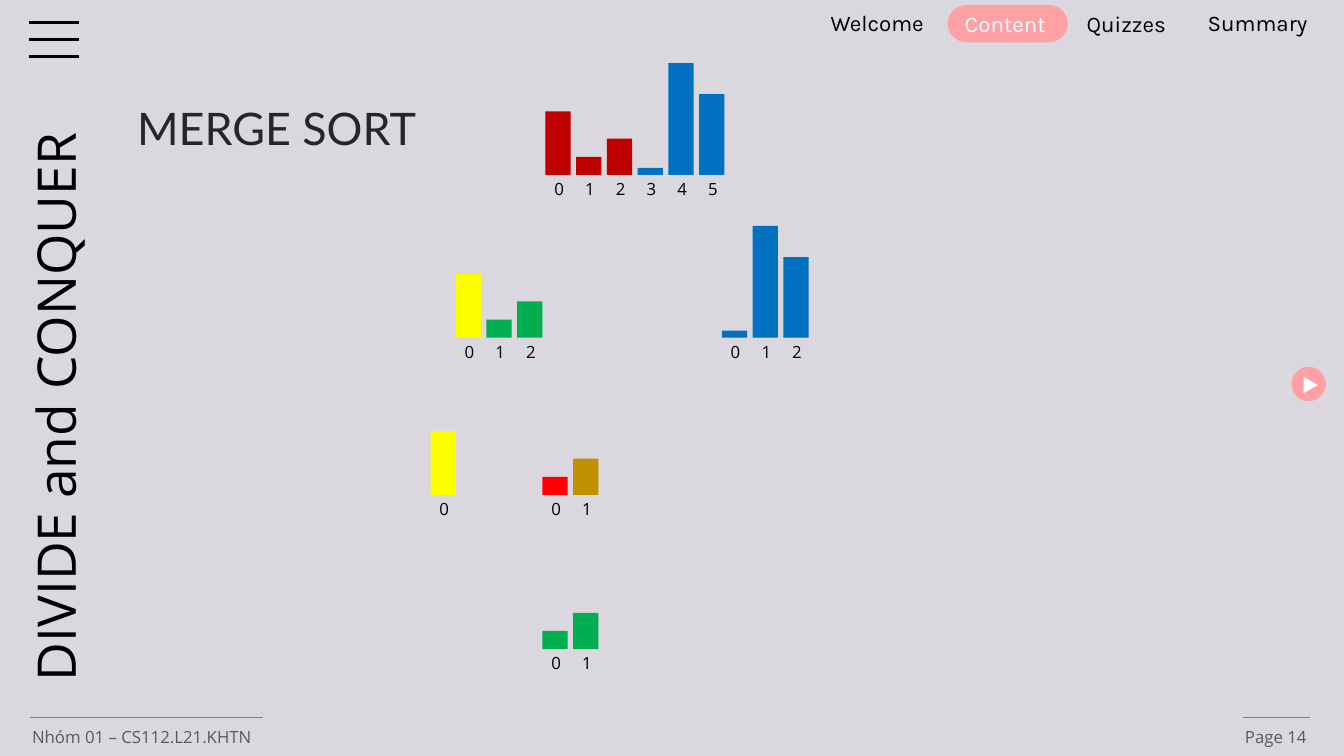
from pptx import Presentation
from pptx.dml.color import RGBColor
from pptx.enum.shapes import MSO_CONNECTOR, MSO_SHAPE
from pptx.enum.text import MSO_ANCHOR, PP_ALIGN
from pptx.util import Inches, Pt
from lxml import etree

RECT, ROUND = MSO_SHAPE.RECTANGLE, MSO_SHAPE.ROUNDED_RECTANGLE
OVAL, TRIANGLE = MSO_SHAPE.OVAL, MSO_SHAPE.ISOSCELES_TRIANGLE
LEFT, CENTER = PP_ALIGN.LEFT, PP_ALIGN.CENTER
TOP = MSO_ANCHOR.TOP
STRAIGHT = MSO_CONNECTOR.STRAIGHT
A = "http://schemas.openxmlformats.org/drawingml/2006/main"
PINK, WHITE, BLACK, GRAY = "FFA1A4", "FFFFFF", "000000", "595959"
RED, BLUE, YELLOW, GREEN = "C00000", "0070C0", "FFFF00", "00B050"

prs = Presentation()
prs.slide_width, prs.slide_height = Inches(13.33), Inches(7.5)
s = prs.slides.add_slide(prs.slide_layouts[5])
s.background.fill.solid()
s.background.fill.fore_color.rgb = RGBColor.from_string("DBD7DE")


def add_text(text, x, y, w, h, size=12, font="Open Sans", color=BLACK,
             align=LEFT, inset=0.1, sp=None):
    """Put formatted text in a new text box, or in sp if one is given."""
    sp = sp or s.shapes.add_textbox(0, 0, 0, 0)
    sp.left, sp.top, sp.width, sp.height = map(Inches, (x, y, w, h))
    tf = sp.text_frame
    tf.word_wrap = True
    tf.vertical_anchor = TOP
    tf.margin_left = tf.margin_right = Inches(inset)
    p = tf.paragraphs[0]
    p.alignment = align
    r = p.add_run()
    r.text = text
    r.font.size, r.font.name = Pt(size), font
    r.font.color.rgb = RGBColor.from_string(color)
    return sp


def add_filled(kind, x, y, w, h, color):
    sp = s.shapes.add_shape(kind, *map(Inches, (x, y, w, h)))
    sp.shadow.inherit = False
    sp.fill.solid()
    sp.fill.fore_color.rgb = RGBColor.from_string(color)
    sp.line.fill.background()
    return sp


add_text("MERGE SORT", 1.26, 0.95, 3.01, 0.64, size=32, font="Lato",
         color="262626", sp=s.shapes.title)

# Navigation
add_filled(ROUND, 9.4, 0.05, 1.19, 0.37, PINK).adjustments[0] = 0.5
for label, x, y, color in [("Welcome", 8.14, 0.04, BLACK),
                           ("Content", 9.47, 0.05, WHITE),
                           ("Quizzes", 10.68, 0.05, BLACK),
                           ("Summary", 11.88, 0.04, BLACK)]:
    add_text(label, x, y, 1.3, 0.37, size=16, font="Karla", color=color)

# Next button
add_filled(OVAL, 12.81, 3.64, 0.34, 0.34, PINK)
add_filled(TRIANGLE, 12.92, 3.75, 0.16, 0.14, WHITE).rotation = 90

# Menu icon and footer rules
rules = [(0.29, 0.78, 0.22 + 0.17 * i, BLACK, 2) for i in range(3)]
rules += [(0.3, 2.61, 7.12, "808080", 0.75), (12.33, 12.99, 7.12, "808080", 0.75)]
for x1, x2, y, color, weight in rules:
    line = s.shapes.add_connector(STRAIGHT, *map(Inches, (x1, y, x2, y)))
    line.line.color.rgb = RGBColor.from_string(color)
    line.line.width = Pt(weight)
    etree.SubElement(line._element.spPr, f"{{{A}}}effectLst")

add_text("Nhóm 01 – CS112.L21.KHTN", 0.22, 7.16, 3, 0.3, color=GRAY)
add_text("Page 14", 12.25, 7.16, 1, 0.3, color=GRAY)
add_text("DIVIDE and CONQUER", -2.53, 3.26, 6.3, 0.89, size=38).rotation = 270

# Arrays being split: left edge, baseline, (height, colour) of each bar
BAR_W, STEP = 0.25, 0.305
arrays = [
    (5.41, 1.735, [(0.63, RED), (0.18, RED), (0.36, RED),
                   (0.07, BLUE), (1.11, BLUE), (0.8, BLUE)]),
    (4.52, 3.35, [(0.63, YELLOW), (0.18, GREEN), (0.36, GREEN)]),
    (7.16, 3.35, [(0.07, BLUE), (1.11, BLUE), (0.8, BLUE)]),
    (4.27, 4.91, [(0.63, YELLOW)]),
    (5.38, 4.91, [(0.18, "FF0000"), (0.36, "BF9000")]),
    (5.38, 6.44, [(0.18, GREEN), (0.36, GREEN)]),
]
for left, base, bars in arrays:
    for i, (height, color) in enumerate(bars):
        x = left + i * STEP
        add_filled(RECT, x, base - height, BAR_W, height, color)
        add_text(str(i), x + 0.01, base - 0.01, BAR_W, 0.3, align=CENTER, inset=0)

prs.save("out.pptx")
